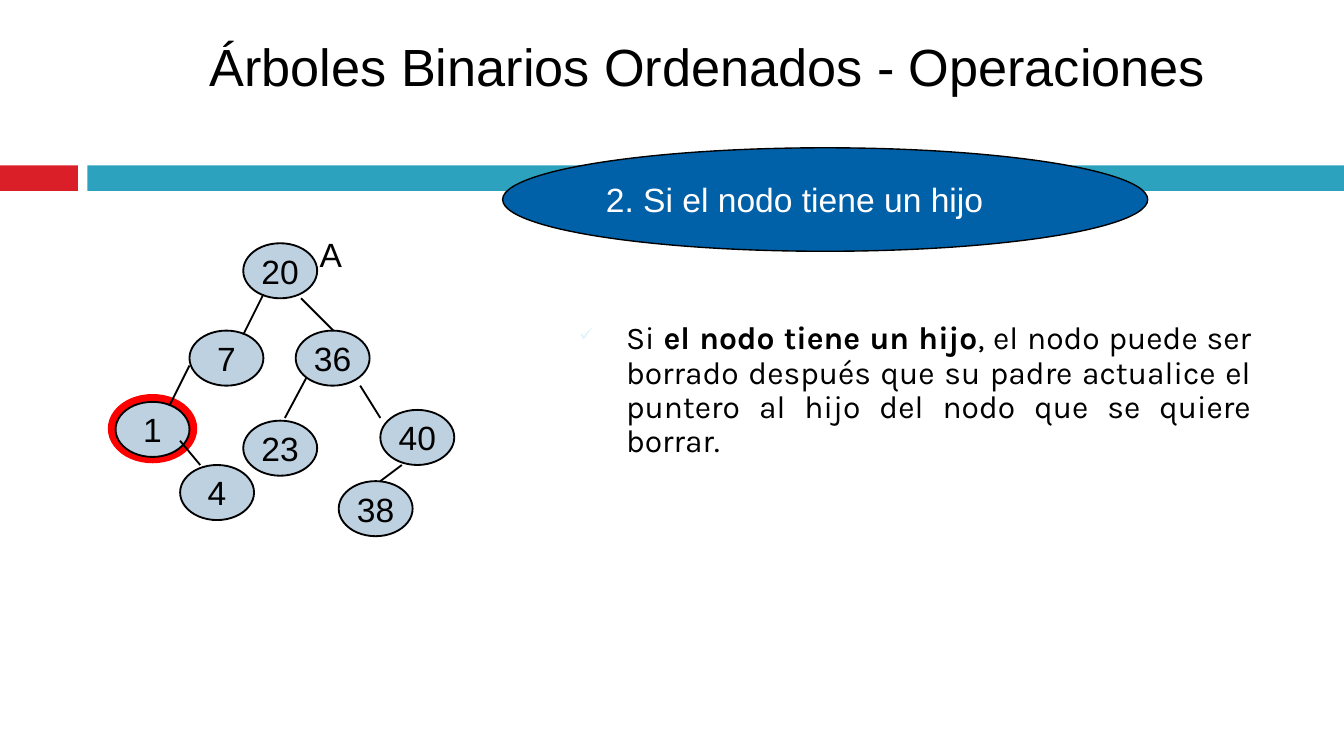
from lxml.etree import SubElement
from pptx import Presentation
from pptx.dml.color import RGBColor
from pptx.enum.shapes import MSO_CONNECTOR, MSO_SHAPE
from pptx.enum.text import MSO_ANCHOR, PP_ALIGN
from pptx.oxml.ns import qn
from pptx.util import Inches, Pt

BLACK = RGBColor(0x00, 0x00, 0x00)
WHITE = RGBColor(0xFF, 0xFF, 0xFF)
RED = RGBColor(0xDA, 0x1F, 0x28)
TEAL = RGBColor(0x2D, 0xA2, 0xBF)
BLUE = RGBColor(0x00, 0x60, 0xA8)
NODE_FILL = RGBColor(0xBE, 0xD1, 0xE0)
HIGHLIGHT = RGBColor(0xFF, 0x00, 0x00)

NODES = [("20", 1.81, 1.81), ("7", 1.41, 2.46), ("36", 2.2, 2.46),
         ("1", 0.86, 2.99), ("4", 1.34, 3.46), ("23", 1.81, 3.13),
         ("40", 2.83, 3.05), ("38", 2.52, 3.58)]
EDGES = [(1.96, 2.19, 1.81, 2.49), (2.24, 2.22, 2.48, 2.46),
         (1.41, 2.72, 1.26, 3.02), (1.34, 3.28, 1.49, 3.46),
         (2.28, 2.81, 2.12, 3.11), (2.68, 2.87, 2.83, 3.11),
         (2.99, 3.46, 2.83, 3.58)]


class TreeSlide:
    """Hold the text style and the slide, and add each kind of element."""

    def __init__(self, prs, font="Arial", size=18):
        self.s = prs.slides.add_slide(prs.slide_layouts[5])
        self.font, self.size = font, size

    def format(self, p, color=BLACK, size=None, font=None):
        for r in p.runs:
            r.font.name = font or self.font
            r.font.size = Pt(size or self.size)
            r.font.color.rgb = color

    def title(self, text, x, y, w, h):
        sp = self.s.shapes.title
        sp.left, sp.top, sp.width, sp.height = map(Inches, (x, y, w, h))
        tf = sp.text_frame
        tf.text = text
        tf.vertical_anchor = MSO_ANCHOR.MIDDLE
        tf.paragraphs[0].alignment = PP_ALIGN.LEFT
        self.format(tf.paragraphs[0], size=28)

    def shape(self, kind, x, y, w, h, fill, line=None, width=0.99):
        sp = self.s.shapes.add_shape(kind, *map(Inches, (x, y, w, h)))
        sp.shadow.inherit = False
        sp.fill.solid()
        sp.fill.fore_color.rgb = fill
        if line is None:
            sp.line.fill.background()
        else:
            sp.line.color.rgb = line
            sp.line.width = Pt(width)
        return sp

    def node(self, text, x, y):
        sp = self.shape(MSO_SHAPE.OVAL, x, y, 0.55, 0.41, NODE_FILL, BLACK)
        tf = sp.text_frame
        tf.text = text
        tf.word_wrap = False
        tf.vertical_anchor = MSO_ANCHOR.MIDDLE
        tf.paragraphs[0].alignment = PP_ALIGN.CENTER
        self.format(tf.paragraphs[0])

    def edge(self, x1, y1, x2, y2):
        line = self.s.shapes.add_connector(
            MSO_CONNECTOR.STRAIGHT, *map(Inches, (x1, y1, x2, y2)))
        line.line.color.rgb = BLACK
        line.line.width = Pt(0.99)
        SubElement(line._element.spPr, qn("a:effectLst"))

    def text(self, text, x, y, w, h, color=BLACK):
        tf = self.s.shapes.add_textbox(*map(Inches, (x, y, w, h))).text_frame
        tf.word_wrap = True
        p = tf.paragraphs[0]
        p.text = text
        self.format(p, color)
        return p

    def bullet(self, parts, x, y, w, h):
        p = self.text("", x, y, w, h)
        for text, bold in parts:
            r = p.add_run()
            r.text = text
            r.font.bold = bold
        self.format(p, size=17, font="Karla")
        p.alignment = PP_ALIGN.JUSTIFY
        p.line_spacing = 0.9
        p.space_before = Pt(7)
        pPr = p._p.get_or_add_pPr()
        pPr.set("marL", str(Inches(0.35)))
        pPr.set("indent", str(Inches(-0.35)))
        color = SubElement(pPr, qn("a:buClr"))
        SubElement(color, qn("a:srgbClr"), val="DEF5FA")
        SubElement(pPr, qn("a:buSzPct"), val="60000")
        SubElement(pPr, qn("a:buChar"), char="✓")


prs = Presentation()
prs.slide_width = Inches(10)
prs.slide_height = Inches(10 * 9 / 16)
slide = TreeSlide(prs)

slide.shape(MSO_SHAPE.RECTANGLE, 0, 1.23, 0.58, 0.19, RED)
slide.shape(MSO_SHAPE.RECTANGLE, 0.65, 1.23, 9.35, 0.19, TEAL)
slide.title("Árboles Binarios Ordenados - Operaciones", 1.46, 0.11, 7.95, 0.75)
slide.bullet([("Si ", False), ("el nodo tiene un hijo", True),
              (", el nodo puede ser borrado después que su padre actualice "
               "el puntero al hijo del nodo que se quiere borrar.", False)],
             4.21, 2.35, 5.2, 1.35)

slide.shape(MSO_SHAPE.OVAL, 0.83, 2.96, 0.61, 0.46, NODE_FILL, HIGHLIGHT, 4)
for node in NODES:
    slide.node(*node)
for edge in EDGES:
    slide.edge(*edge)
slide.text("A", 2.28, 1.69, 0.39, 0.4)

slide.shape(MSO_SHAPE.OVAL, 3.74, 1.1, 4.8, 0.77, BLUE, BLACK, 0.74)
slide.text("2. Si el nodo tiene un hijo", 4.41, 1.28, 4.45, 0.4, WHITE)

prs.save("out.pptx")
